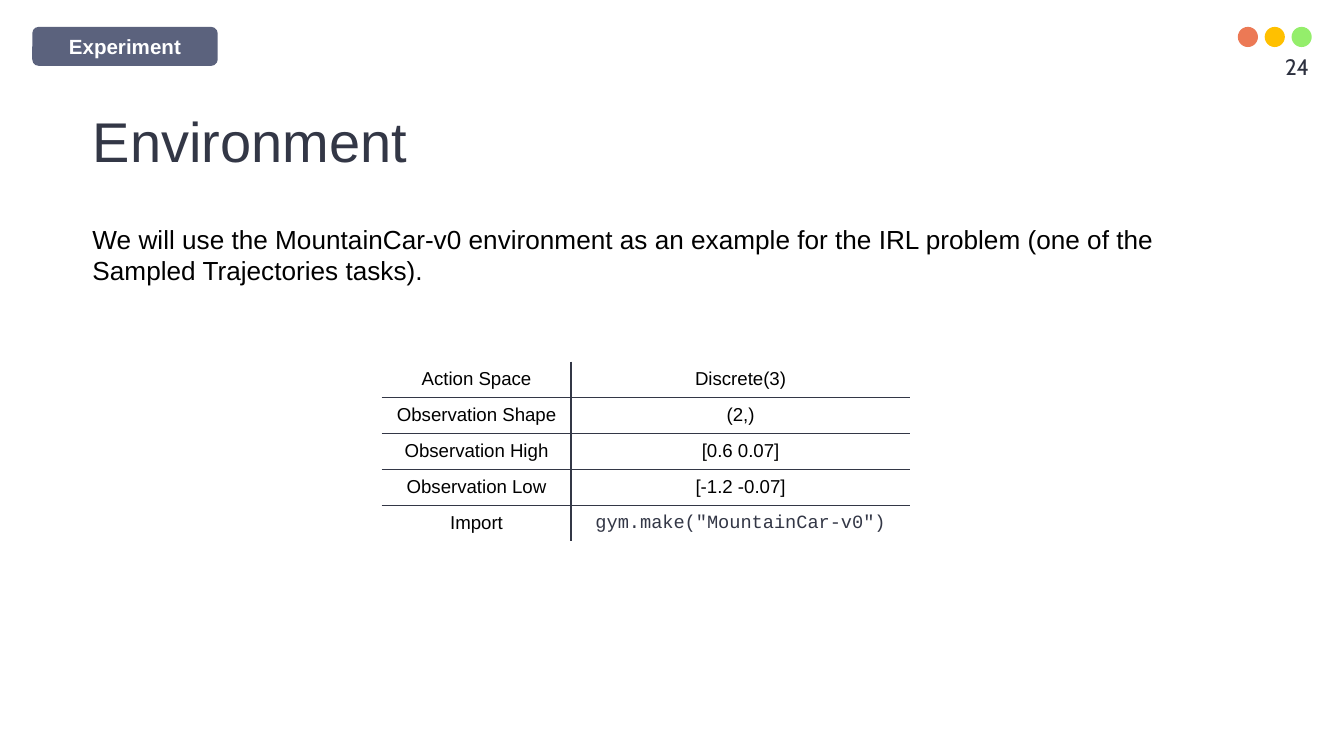
"""Build the Environment slide with its tag, dots, body text and fact table."""
from dataclasses import dataclass

import lxml.etree
import pptx
import pptx.dml.color
import pptx.enum.shapes
import pptx.enum.text
import pptx.oxml.ns
import pptx.util

Inches = pptx.util.Inches
ALIGN = pptx.enum.text.PP_ALIGN
ANCHOR = pptx.enum.text.MSO_ANCHOR
KIND = pptx.enum.shapes.MSO_SHAPE


@dataclass(frozen=True)
class Theme:
    """Colours, fonts and type sizes."""
    ink: str = "333746"
    black: str = "000000"
    white: str = "FFFFFF"
    tag: str = "5B627D"
    page: str = "2D313F"
    dots: tuple = ("EC7955", "FFC000", "94EE6B")
    sans: str = "Arial"
    code: str = "Courier New"
    num: str = "Cabin"
    head: int = 30
    body: int = 14
    small: int = 12
    label: int = 11
    cell: int = 10


@dataclass(frozen=True)
class Box:
    """Place and size in inches."""
    left: float
    top: float
    width: float
    height: float

    def emu(self) -> tuple:
        """Give the four lengths for a shape."""
        return tuple(map(Inches, (self.left, self.top, self.width, self.height)))


@dataclass(frozen=True)
class Fact:
    """One row of the table."""
    name: str
    value: str
    code: bool = False


THEME = Theme()
FACTS = (
    Fact("Action Space", "Discrete(3)"),
    Fact("Observation Shape", "(2,)"),
    Fact("Observation High", "[0.6 0.07]"),
    Fact("Observation Low", "[-1.2 -0.07]"),
    Fact("Import", 'gym.make("MountainCar-v0")', True),
)


def rgb(code: str) -> pptx.dml.color.RGBColor:
    """Turn a hex code into a colour."""
    return pptx.dml.color.RGBColor.from_string(code)


def write(frame, text: str, *, size: int, color: str = THEME.black,
          font: str = THEME.sans, bold: bool = False, align=ALIGN.LEFT,
          lead: float = 1.0, after: int = 0) -> None:
    """Put one formatted paragraph in a text frame."""
    frame.word_wrap = True
    para = frame.paragraphs[0]
    para.alignment = align
    para.line_spacing = lead
    para.space_before = pptx.util.Pt(0)
    para.space_after = pptx.util.Pt(after)
    run = para.add_run()
    run.text = text
    run.font.name = font
    run.font.size = pptx.util.Pt(size)
    run.font.bold = bold
    run.font.color.rgb = rgb(color)


def shape(slide, kind, box: Box, color: str):
    """Add a flat filled shape."""
    item = slide.shapes.add_shape(kind, *box.emu())
    item.shadow.inherit = False
    item.fill.solid()
    item.fill.fore_color.rgb = rgb(color)
    item.line.fill.background()
    return item


def label(slide, box: Box, text: str, **style) -> None:
    """Add a text box."""
    write(slide.shapes.add_textbox(*box.emu()).text_frame, text, **style)


def edge(cell, sides: str) -> None:
    """Rule the given sides of a cell and hide the others."""
    props = cell._tc.get_or_add_tcPr()
    name = pptx.oxml.ns.qn
    for side in "LRTB":
        line = lxml.etree.SubElement(props, name(f"a:ln{side}"), w="12700")
        if side in sides:
            fill = lxml.etree.SubElement(line, name("a:solidFill"))
            lxml.etree.SubElement(fill, name("a:srgbClr"), val=THEME.ink)
        else:
            lxml.etree.SubElement(line, name("a:noFill"))


def grid(slide, box: Box, widths: tuple, facts: tuple) -> None:
    """Add the fact table with inner rules only."""
    table = slide.shapes.add_table(len(facts), len(widths), *box.emu()).table
    table.first_row = table.horz_banding = False
    for col, width in zip(table.columns, widths):
        col.width = Inches(width)
    last = len(facts) - 1
    for row, fact in enumerate(facts):
        rules = ("T" if row else "") + ("B" if row < last else "")
        for col, text in enumerate((fact.name, fact.value)):
            cell = table.cell(row, col)
            code = fact.code and col == 1
            write(cell.text_frame, text, size=THEME.cell, align=ALIGN.CENTER,
                  font=THEME.code if code else THEME.sans,
                  color=THEME.ink if code else THEME.black)
            cell.vertical_anchor = ANCHOR.MIDDLE
            edge(cell, rules + "RL"[col])
            cell.fill.background()


def title(slide, box: Box, text: str) -> None:
    """Place and fill the title."""
    item = slide.shapes.title
    item.left, item.top, item.width, item.height = box.emu()
    frame = item.text_frame
    frame.margin_left = frame.margin_right = Inches(0.1)
    frame.margin_top = frame.margin_bottom = Inches(0.1)
    frame.vertical_anchor = ANCHOR.BOTTOM
    write(frame, text, size=THEME.head, color=THEME.ink, lead=1.15)


def main() -> None:
    """Build and save the slide."""
    deck = pptx.Presentation()
    deck.slide_width = Inches(10)
    deck.slide_height = deck.slide_width * 9 // 16
    slide = deck.slides.add_slide(deck.slide_layouts[5])
    for spot, color in enumerate(THEME.dots):
        shape(slide, KIND.OVAL, Box(9.21 + 0.2 * spot, 0.2, 0.15, 0.15), color)
    tag = shape(slide, KIND.ROUNDED_RECTANGLE, Box(0.24, 0.2, 1.38, 0.29), THEME.tag)
    tag.text_frame.vertical_anchor = ANCHOR.MIDDLE
    write(tag.text_frame, "Experiment", size=THEME.label, color=THEME.white,
          bold=True, align=ALIGN.CENTER)
    title(slide, Box(0.59, 0.62, 8.44, 0.77), "Environment")
    label(slide, Box(0.59, 1.61, 8.44, 0.57),
          "We will use the MountainCar-v0 environment as an example for the IRL "
          "problem (one of the Sampled Trajectories tasks).",
          size=THEME.body, after=6)
    grid(slide, Box(2.84, 2.69, 3.92, 1.34), (1.41, 2.52), FACTS)
    label(slide, Box(6.84, 0.35, 3, 0.4), "24", size=THEME.small,
          color=THEME.page, font=THEME.num, align=ALIGN.RIGHT)
    deck.save("out.pptx")


if __name__ == "__main__":
    main()
